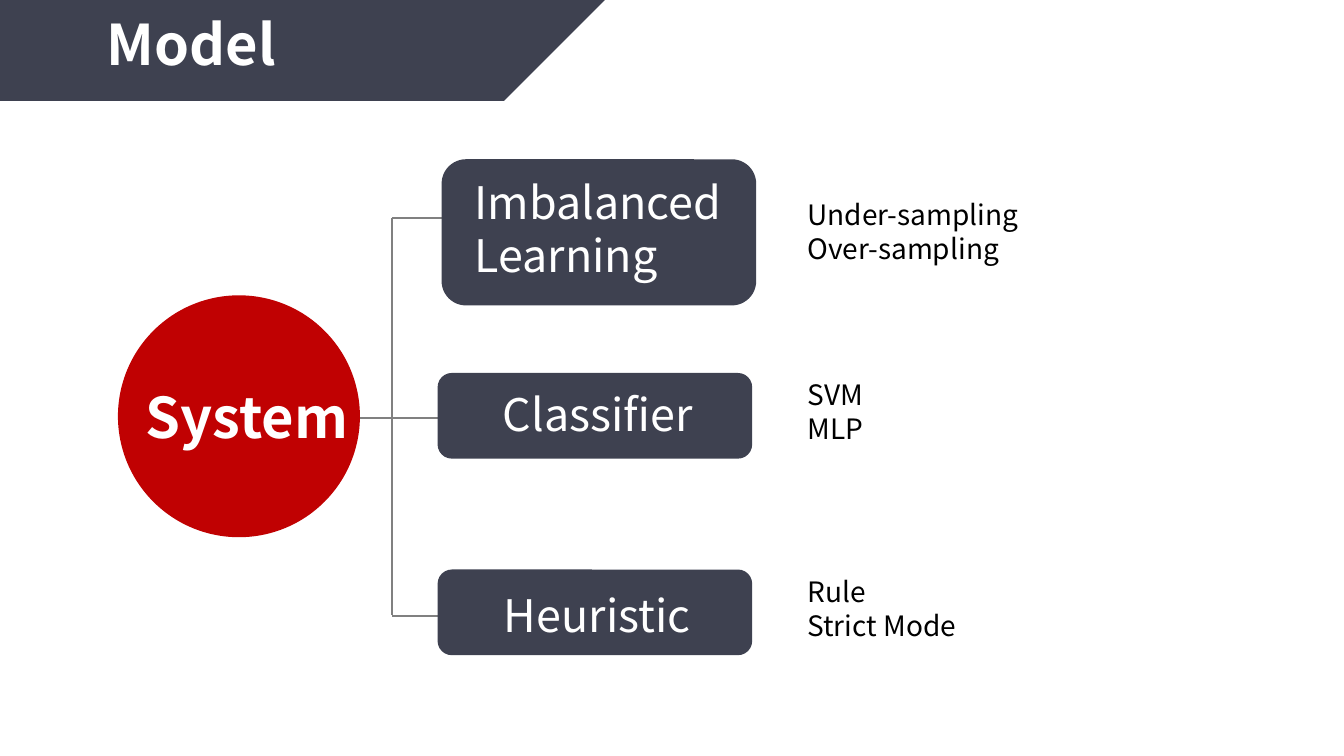
"""Build the Model slide: a system split into three parts."""
from lxml.etree import SubElement
from pptx import Presentation
from pptx.dml.color import RGBColor
from pptx.enum.shapes import MSO_CONNECTOR, MSO_SHAPE
from pptx.enum.text import MSO_ANCHOR, PP_ALIGN
from pptx.oxml.ns import qn
from pptx.util import Inches, Pt

FONT = "Noto Sans CJK SC"
COLORS = {"navy": "3E4150", "red": "C00102", "gray": "808080",
          "white": "FFFFFF", "black": "000000"}


def paint(shape, color):
    shape.shadow.inherit = False
    shape.fill.solid()
    shape.fill.fore_color.rgb = RGBColor.from_string(COLORS[color])
    shape.line.fill.background()


def write(shape, lines, size, color, bold=False, wrap=False):
    frame = shape.text_frame
    frame.word_wrap = wrap
    frame.vertical_anchor = MSO_ANCHOR.TOP
    for i, line in enumerate(lines):
        para = frame.add_paragraph() if i else frame.paragraphs[0]
        para.alignment = PP_ALIGN.LEFT
        para.line_spacing = 1.0
        para.space_before = Pt(0)
        run = para.add_run()
        run.text = line
        run.font.name = FONT
        run.font.size = Pt(size)
        run.font.bold = bold
        run.font.color.rgb = RGBColor.from_string(COLORS[color])


deck = Presentation()
deck.slide_width = Inches(13.33)
deck.slide_height = Inches(7.5)
slide = deck.slides.add_slide(deck.slide_layouts[5])
shapes = slide.shapes

pen = shapes.build_freeform(0, 0, scale=Inches(1))
pen.add_line_segments([(5.9, 0), (5.2, 0.86), (0, 0.86)], close=True)
banner = pen.convert_to_shape()
paint(banner, "navy")

title = shapes.title
title.left, title.top = Inches(0.96), Inches(0.04)
title.width, title.height = Inches(2.01), Inches(0.77)
write(title, ["Model"], 40, "white", bold=True)
title.element.addprevious(banner.element)

links = [(3.89, 2.16, 3.89, 6.1), (5.51, 2.16, 3.89, 2.16),
         (4.88, 4.15, 3.26, 4.15), (5.51, 6.11, 3.89, 6.11)]
for ends in links:
    link = shapes.add_connector(MSO_CONNECTOR.STRAIGHT, *map(Inches, ends))
    link.line.color.rgb = RGBColor.from_string(COLORS["gray"])
    link.line.width = Pt(1.5)
    SubElement(link.element.spPr, qn("a:effectLst"))

circle = shapes.add_shape(MSO_SHAPE.OVAL, Inches(1.17), Inches(2.93),
                          Inches(2.4), Inches(2.4))
paint(circle, "red")

parts = [
    ("Imbalanced Learning", (4.38, 1.58, 3.12, 1.45), (4.61, 1.68, 2.78, 1.18), True),
    ("Classifier", (4.34, 3.7, 3.12, 0.85), (4.89, 3.79, 2.11, 0.64), False),
    ("Heuristic", (4.34, 5.65, 3.12, 0.85), (4.9, 5.78, 2.09, 0.64), False),
]
for name, outer, inner, wrap in parts:
    card = shapes.add_shape(MSO_SHAPE.ROUNDED_RECTANGLE, *map(Inches, outer))
    paint(card, "navy")
    label = shapes.add_shape(MSO_SHAPE.RECTANGLE, *map(Inches, inner))
    paint(label, "navy")
    write(label, [name], 32, "white", wrap=wrap)

notes = [(1.91, 2.36, 1.11, ["Under-sampling", "Over-sampling"]),
         (3.7, 0.83, 0.77, ["SVM", "MLP"]),
         (5.65, 1.76, 1.11, ["Rule", "Strict Mode"])]
for top, width, height, lines in notes:
    note = shapes.add_textbox(Inches(7.91), Inches(top), Inches(width), Inches(height))
    write(note, lines, 20, "black")

core = shapes.add_textbox(Inches(1.35), Inches(3.75), Inches(2.23), Inches(0.77))
write(core, ["System"], 40, "white", bold=True)

deck.save("out.pptx")
